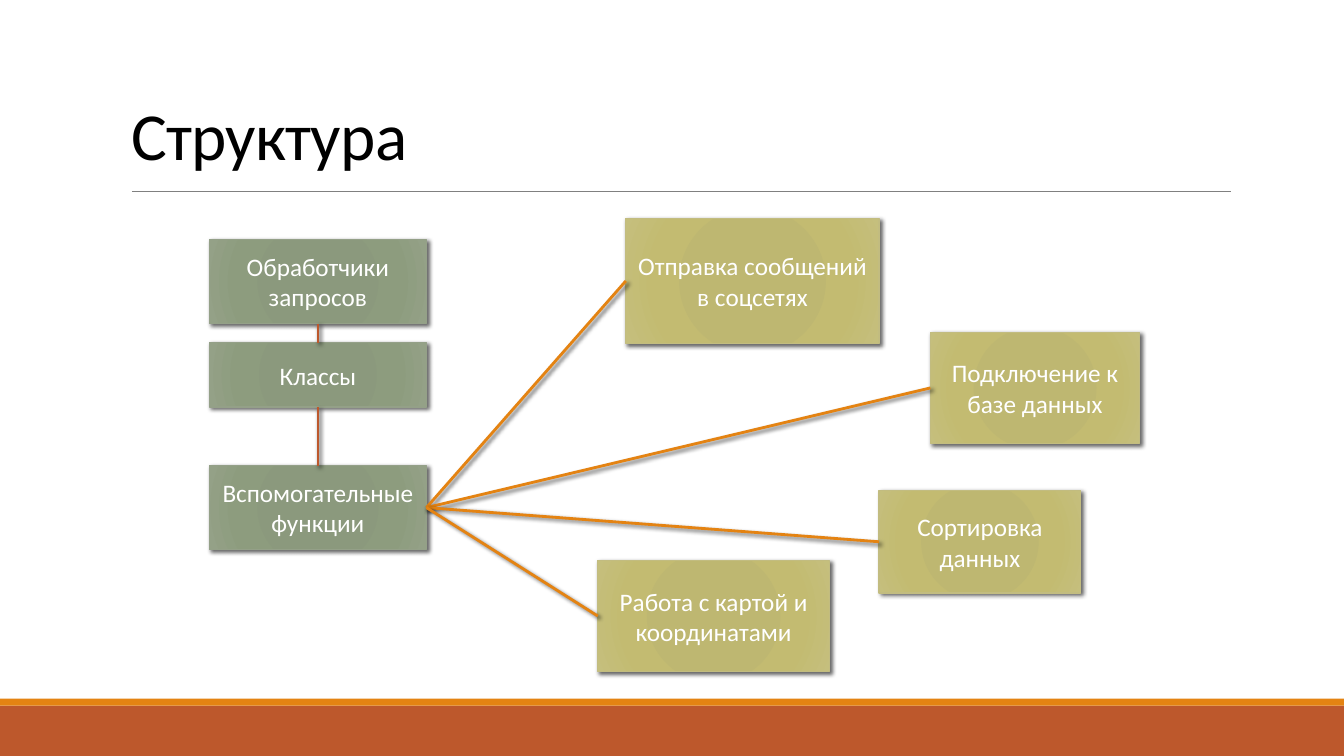
from lxml import etree
from pptx import Presentation
from pptx.dml.color import RGBColor
from pptx.enum.shapes import MSO_CONNECTOR, MSO_SHAPE
from pptx.enum.text import MSO_ANCHOR, MSO_AUTO_SIZE, PP_ALIGN
from pptx.oxml import parse_xml
from pptx.oxml.ns import qn
from pptx.util import Pt

BLACK = RGBColor(0x00, 0x00, 0x00)
WHITE = RGBColor(0xFF, 0xFF, 0xFF)
GRAY = RGBColor(0x80, 0x80, 0x80)
RUST = RGBColor(0xBD, 0x58, 0x2C)
ORANGE = RGBColor(0xE4, 0x83, 0x12)
GREEN_LINE = RGBColor(0x94, 0xA0, 0x88)
OLIVE_LINE = RGBColor(0xC2, 0xBC, 0x80)
GREEN_STOPS = [RGBColor(0x8A, 0x98, 0x7B), RGBColor(0x8B, 0x99, 0x7D),
               RGBColor(0x8D, 0x9C, 0x7E), RGBColor(0x94, 0xA1, 0x87)]
OLIVE_STOPS = [RGBColor(0xBE, 0xB7, 0x6E), RGBColor(0xBE, 0xB7, 0x71),
               RGBColor(0xC3, 0xBB, 0x71), RGBColor(0xC5, 0xBF, 0x7D)]
NS = 'xmlns:a="http://schemas.openxmlformats.org/drawingml/2006/main"'


def write(sp, text, size=18, color=WHITE, align=PP_ALIGN.CENTER,
          anchor=MSO_ANCHOR.MIDDLE, line_spacing=None, spacing=None):
    tf = sp.text_frame
    tf.word_wrap = True
    tf.auto_size = MSO_AUTO_SIZE.NONE
    tf.vertical_anchor = anchor
    p = tf.paragraphs[0]
    p.alignment = align
    p.line_spacing = line_spacing
    r = p.add_run()
    r.text = text
    r.font.name = "Calibri"
    r.font.size = Pt(size)
    r.font.color.rgb = color
    if spacing is not None:
        r.font._element.set("spc", str(int(spacing * 100)))


def add_shadow(sp):
    effects = etree.SubElement(sp._element.spPr, qn("a:effectLst"))
    effects.append(parse_xml(
        f'<a:outerShdw {NS} blurRad="{Pt(3)}" dist="{Pt(2)}" dir="2700000" '
        'algn="br" rotWithShape="0"><a:srgbClr val="000000">'
        '<a:alpha val="60000"/></a:srgbClr></a:outerShdw>'))


prs = Presentation()
prs.slide_width, prs.slide_height = Pt(960), Pt(540)
s = prs.slides.add_slide(prs.slide_layouts[5])

for top, height, color in [(504, 36, RUST), (499, 5, ORANGE)]:
    sp = s.shapes.add_shape(MSO_SHAPE.RECTANGLE, 0, Pt(top), Pt(960), Pt(height))
    sp.shadow.inherit = False
    sp.fill.solid()
    sp.fill.fore_color.rgb = color
    sp.line.fill.background()

rule = s.shapes.add_connector(MSO_CONNECTOR.STRAIGHT, Pt(94.3), Pt(136.8), Pt(879), Pt(136.8))
rule.line.color.rgb = GRAY
rule.line.width = Pt(0.5)
etree.SubElement(rule._element.spPr, qn("a:effectLst"))

title = s.shapes.title
title.left, title.top, title.width, title.height = Pt(86.4), Pt(22.3), Pt(792), Pt(105.8)
write(title, "Структура", size=48, color=BLACK, align=PP_ALIGN.LEFT,
      anchor=MSO_ANCHOR.BOTTOM, line_spacing=0.85, spacing=-0.5)

green = (GREEN_STOPS, GREEN_LINE)
olive = (OLIVE_STOPS, OLIVE_LINE)
boxes = [
    ("handlers", "Обработчики запросов", 149.6, 171.1, 155, 60, green),
    ("helpers", "Вспомогательные функции", 149.6, 332.6, 155, 60, green),
    ("classes", "Классы", 149.6, 244.8, 155, 46, green),
    ("messages", "Отправка сообщений в соцсетях", 447, 156.2, 181, 89, olive),
    ("map", "Работа с картой и координатами", 427, 400.3, 165.5, 79.5, olive),
    ("sorting", "Сортировка данных", 628, 350.5, 144, 73, olive),
    ("database", "Подключение к базе данных", 664.6, 237.6, 149.4, 79, olive),
]
nodes = {}
for name, text, left, top, width, height, (colors, edge) in boxes:
    sp = s.shapes.add_shape(MSO_SHAPE.RECTANGLE, Pt(left), Pt(top), Pt(width), Pt(height))
    sp.fill.gradient()
    stops = "".join(f'<a:gs pos="{pos * 1000}"><a:srgbClr val="{color}"/></a:gs>'
                    for pos, color in zip([0, 34, 70, 100], colors))
    old = sp._element.spPr.find(qn("a:gradFill"))
    sp._element.spPr.replace(old, parse_xml(
        f'<a:gradFill {NS} rotWithShape="1"><a:gsLst>{stops}</a:gsLst><a:path path="circle">'
        '<a:fillToRect l="100000" t="100000" r="100000" b="100000"/></a:path></a:gradFill>'))
    sp.line.color.rgb = edge
    sp.line.width = Pt(1)
    add_shadow(sp)
    write(sp, text)
    nodes[name] = sp

links = [("handlers", 2, "classes", 0, RUST), ("helpers", 0, "classes", 2, RUST)]
links += [("helpers", 3, name, 1, ORANGE) for name in ["messages", "database", "sorting", "map"]]
for start, start_side, end, end_side, color in links:
    link = s.shapes.add_connector(MSO_CONNECTOR.STRAIGHT, 0, 0, 0, 0)
    link.begin_connect(nodes[start], start_side)
    link.end_connect(nodes[end], end_side)
    link.line.color.rgb = color
    link.line.width = Pt(2)
    add_shadow(link)

prs.save("out.pptx")
